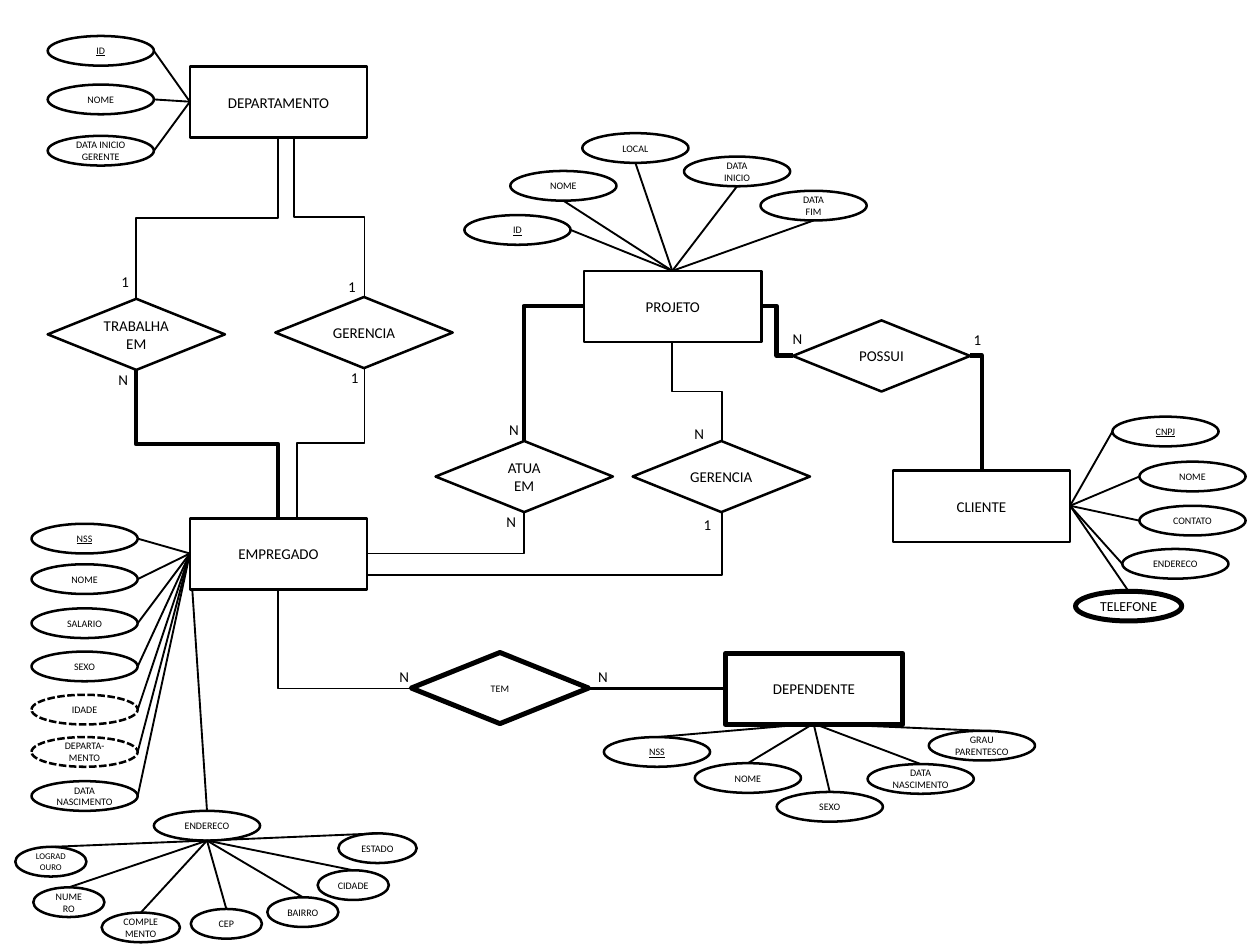
from lxml import etree
from pptx import Presentation
from pptx.dml.color import RGBColor
from pptx.enum import dml, shapes, text
from pptx.oxml import ns
from pptx.util import Inches, Pt

BLACK = RGBColor(0, 0, 0)
WHITE = RGBColor(255, 255, 255)
OVAL = shapes.MSO_SHAPE.OVAL
RECT = shapes.MSO_SHAPE.RECTANGLE
RHOMB = shapes.MSO_SHAPE.DIAMOND
WIDE, TALL = 1.97, 0.79  # entities and relations
LONG, FLAT = 1.18, 0.33  # attributes

prs = Presentation()
prs.slide_width, prs.slide_height = Inches(14), Inches(10.5)
slide = prs.slides.add_slide(prs.slide_layouts[6])


def node(words, x, y, w=WIDE, h=TALL, kind=None, size=12, line=2,
         fill=None, under=None, dash=None):
    """Add a labelled shape, or a bare text box if kind is None."""
    box = [Inches(v) for v in (x, y, w, h)]
    if kind is None:
        item = slide.shapes.add_textbox(*box)
    else:
        item = slide.shapes.add_shape(kind, *box)
        item.shadow.inherit = False
        item.line.color.rgb = BLACK
        item.line.width = Pt(line)
        item.line.dash_style = dash
        item.fill.background()
        if fill is not None:
            item.fill.solid()
            item.fill.fore_color.rgb = fill
    frame = item.text_frame
    frame.text = words
    frame.word_wrap = True
    frame.vertical_anchor = text.MSO_ANCHOR.MIDDLE
    if kind is None:
        frame.margin_left = frame.margin_right = 0
        frame.margin_top = frame.margin_bottom = 0
    for para in frame.paragraphs:
        para.alignment = text.PP_ALIGN.CENTER
        font = para.runs[0].font
        font.name, font.size, font.underline = "Calibri", Pt(size), under
        font.color.rgb = BLACK


def link(x1, y1, x2, y2, line=1.5, bends=0, down=False):
    """Join two points with 0, 1 or 2 bends; down starts vertically."""
    kind = shapes.MSO_CONNECTOR.ELBOW if bends else shapes.MSO_CONNECTOR.STRAIGHT
    item = slide.shapes.add_connector(kind, *[Inches(v) for v in (x1, y1, x2, y2)])
    item.line.color.rgb = BLACK
    item.line.width = Pt(line)
    props = item._element.spPr
    etree.SubElement(props, ns.qn("a:effectLst"))
    if bends:
        props.find(ns.qn("a:prstGeom")).set("prst", f"bentConnector{bends + 1}")
    if down:
        # Turn the frame about its centre so that the first leg runs down
        w, h = abs(y2 - y1), abs(x2 - x1)
        item.left, item.top = Inches((x1 + x2 - w) / 2), Inches((y1 + y2 - h) / 2)
        item.width, item.height = Inches(w), Inches(h)
        frame = props.find(ns.qn("a:xfrm"))
        frame.set("rot", str((270 if x2 > x1 else 90) * 60000))
        frame.set("flipH", "1" if x2 > x1 else "0")


# Attributes: hub point, then (words, x, y, side where the line starts, format)
KEY = {"under": True}
DASH = {"dash": dml.MSO_LINE.SQUARE_DOT}
SHORT, MID = {"w": 0.79}, {"w": 0.87}
groups = [
    ((2.11, 1.13), [  # departamento
        ("ID", 0.53, 0.4, "r", KEY),
        ("NOME", 0.53, 0.94, "r", {}),
        ("DATA INICIO GERENTE", 0.53, 1.51, "r", {})]),
    ((2.11, 6.15), [  # empregado
        ("NSS", 0.35, 5.82, "r", KEY),
        ("NOME", 0.35, 6.27, "r", {}),
        ("SALARIO", 0.35, 6.76, "r", {}),
        ("SEXO", 0.35, 7.24, "r", {}),
        ("IDADE", 0.35, 7.72, "r", DASH),
        ("DEPARTA-\nMENTO", 0.35, 8.19, "r", DASH),
        ("DATA NASCIMENTO", 0.35, 8.68, "r", {}),
        ("ENDERECO", 1.71, 9.01, "t", {})]),
    ((2.3, 9.34), [  # endereco
        ("LOGRADOURO", 0.17, 9.41, "t", {"w": 0.79, "size": 7}),
        ("NUME RO", 0.37, 9.86, "t", SHORT),
        ("COMPLEMENTO", 1.13, 10.14, "t", MID),
        ("CEP", 2.12, 10.1, "t", SHORT),
        ("BAIRRO", 2.97, 9.97, "t", SHORT),
        ("CIDADE", 3.53, 9.67, "t", SHORT),
        ("ESTADO", 3.76, 9.26, "t", MID)]),
    ((7.47, 3.01), [  # projeto
        ("ID", 5.16, 2.39, "r", KEY),
        ("NOME", 5.67, 1.9, "b", {}),
        ("LOCAL", 6.47, 1.48, "b", {}),
        ("DATA\nINICIO", 7.6, 1.74, "b", {}),
        ("DATA\nFIM", 8.45, 2.12, "b", {})]),
    ((11.89, 5.62), [  # cliente
        ("CNPJ", 12.36, 4.63, "l", KEY),
        ("NOME", 12.66, 5.13, "l", {}),
        ("CONTATO", 12.66, 5.62, "l", {}),
        ("ENDERECO", 12.47, 6.1, "l", {}),
        ("TELEFONE", 11.95, 6.57, "t", {"size": 11, "line": 4})]),
    ((9.04, 8.04), [  # dependente
        ("NSS", 6.71, 8.19, "t", KEY),
        ("NOME", 7.72, 8.48, "t", {}),
        ("SEXO", 8.63, 8.8, "t", {}),
        ("DATA NASCIMENTO", 9.64, 8.49, "t", {}),
        ("GRAU\nPARENTESCO", 10.32, 8.12, "t", {})]),
]
sides = {"l": (0, 0.5), "r": (1, 0.5), "t": (0.5, 0), "b": (0.5, 1)}
for hub, items in groups:
    for words, x, y, side, form in items:
        form = {"w": LONG, "size": 8, **form}
        fx, fy = sides[side]
        node(words, x, y, h=FLAT, kind=OVAL, **form)
        link(x + fx * form["w"], y + fy * FLAT, *hub)

# Entities
for words, x, y, form in [
        ("DEPARTAMENTO", 2.11, 0.74, {}),
        ("EMPREGADO", 2.11, 5.76, {"fill": WHITE}),
        ("PROJETO", 6.49, 3.01, {}),
        ("CLIENTE", 9.92, 5.23, {}),
        ("DEPENDENTE", 8.06, 7.26, {"line": 4})]:
    node(words, x, y, kind=RECT, **form)

# Relations
for words, x, y, form in [
        ("TRABALHA\nEM", 0.53, 3.32, {}),
        ("GERENCIA", 3.06, 3.3, {}),
        ("ATUA\nEM", 4.84, 4.9, {}),
        ("GERENCIA", 7.03, 4.9, {}),
        ("POSSUI", 8.81, 3.56, {}),
        ("TEM", 4.57, 7.25, {"size": 8, "line": 4})]:
    node(words, x, y, kind=RHOMB, **form)

# Links between entities and relations: ends, width, bends, starts downwards
for ends, line, bends, down in [
        ((3.09, 1.53, 1.51, 3.32), 1.5, 2, True),
        ((1.51, 4.11, 3.09, 5.76), 3.5, 2, True),
        ((3.27, 1.53, 4.05, 3.3), 1.5, 2, True),
        ((4.05, 4.08, 3.3, 5.76), 1.5, 2, True),
        ((6.49, 3.4, 5.82, 4.9), 3.5, 1, False),
        ((5.82, 5.69, 4.08, 6.15), 1.5, 1, True),
        ((7.47, 3.8, 8.02, 4.9), 1.5, 2, True),
        ((8.02, 5.69, 4.08, 6.39), 1.5, 1, True),
        ((8.45, 3.4, 8.81, 3.95), 3.5, 2, False),
        ((10.78, 3.95, 10.91, 5.23), 3.5, 1, False),
        ((3.09, 6.55, 4.57, 7.65), 1.5, 1, True),
        ((6.54, 7.65, 8.06, 7.65), 3, 0, False)]:
    link(*ends, line=line, bends=bends, down=down)

# Cardinalities
for words, spots in [
        ("1", [(1.27, 3.01), (3.79, 3.06), (3.82, 4.08), (7.74, 5.71), (10.74, 3.65)]),
        ("N", [(1.25, 4.1), (5.59, 4.65), (5.56, 5.68), (7.65, 4.7), (8.74, 3.64),
               (6.58, 7.4), (4.37, 7.4)])]:
    for x, y in spots:
        node(words, x, y, w=0.24, h=0.24)

prs.save("out.pptx")
